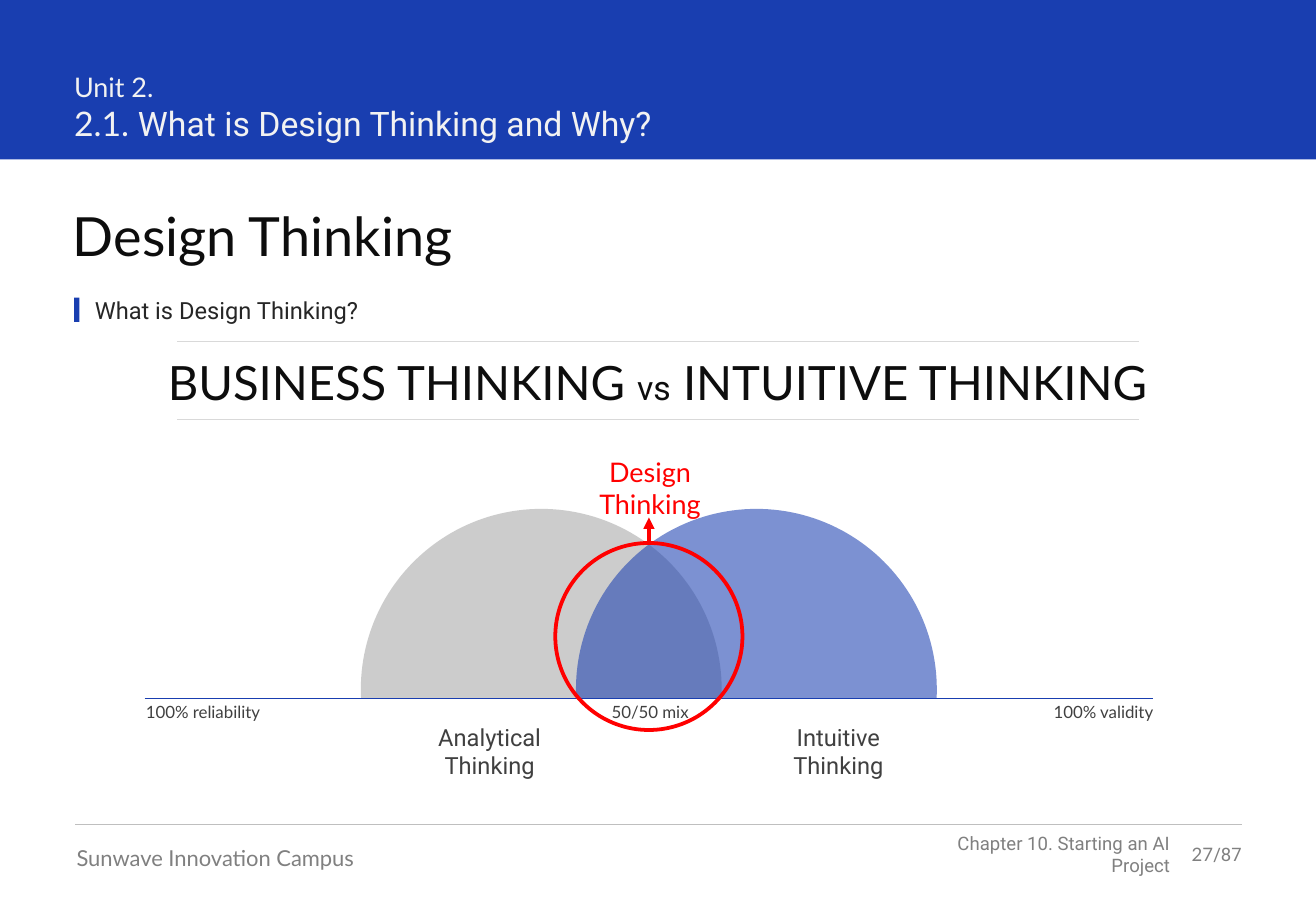
from dataclasses import dataclass

from lxml import etree
from pptx import Presentation
from pptx import util as u
from pptx.dml.color import RGBColor
from pptx.enum import shapes, text
from pptx.oxml import ns


@dataclass(frozen=True)
class Theme:
    blue: str = "193EB0"
    grey: str = "A6A6A6"
    red: str = "FF0000"
    pale: str = "F2F2F2"
    ink: str = "0D0D0D"
    body: str = "262626"
    label: str = "404040"
    footer: str = "808080"
    footer_rule: str = "BFBFBF"
    rule: str = "D9D9D9"
    head_font: str = "Lato"
    body_font: str = "Roboto"
    display: int = 32
    headline: int = 28
    title: int = 20
    callout: int = 16
    text: int = 14
    brand: int = 13
    small: int = 11
    tiny: int = 10
    thin: float = 0.5
    thick: float = 2.25


def rgb(value):
    return RGBColor.from_string(value)


def add_xml(parent, tag, **attrs):
    return etree.SubElement(parent, ns.qn(tag), attrs)


def write(sp, paragraphs, size, color, font, align="LEFT", anchor="TOP", after=0):
    """Fill a shape with paragraphs, each a list of (text, size, font) runs or a string."""
    tf = sp.text_frame
    tf.word_wrap = True
    tf.auto_size = text.MSO_AUTO_SIZE.NONE
    tf.vertical_anchor = text.MSO_ANCHOR[anchor]
    tf.margin_left = tf.margin_right = tf.margin_top = tf.margin_bottom = 0
    for i, runs in enumerate(paragraphs):
        p = tf.add_paragraph() if i else tf.paragraphs[0]
        p.alignment = text.PP_ALIGN[align]
        p.space_before, p.space_after = u.Pt(0), u.Pt(after)
        for words, run_size, run_font in [(runs, size, font)] if isinstance(runs, str) else runs:
            r = p.add_run()
            r.text = words
            r.font.size, r.font.name = u.Pt(run_size), run_font
            r.font.color.rgb = rgb(color)


class Deck:
    """One slide on a grid of 100 columns by 100 rows."""

    def __init__(self, theme):
        self.theme = theme
        self.prs = Presentation()
        self.prs.slide_width, self.prs.slide_height = u.Inches(10.83), u.Inches(7.5)
        self.s = self.prs.slides.add_slide(self.prs.slide_layouts[1])

    def x(self, columns):
        return round(self.prs.slide_width * columns / 100)

    def y(self, rows):
        return round(self.prs.slide_height * rows / 100)

    def box(self, left, top, width, height):
        return self.x(left), self.y(top), self.x(width), self.y(height)

    def text(self, at, paragraphs, **style):
        write(self.s.shapes.add_textbox(*self.box(*at)), paragraphs, **style)

    def placeholder(self, idx, at, paragraphs, **style):
        """Move a template placeholder to the front and fill it, without bullets."""
        sp = self.s.placeholders[idx]
        sp.left, sp.top, sp.width, sp.height = self.box(*at)
        sp.element.getparent().append(sp.element)
        write(sp, paragraphs, **style)
        for p in sp.text_frame.paragraphs:
            pPr = p._p.get_or_add_pPr()
            pPr.set("marL", "0")
            pPr.set("indent", "0")
            add_xml(pPr, "a:buNone")

    def shape(self, kind, at, fill=None, line=None, alpha=None, adjust=()):
        sp = self.s.shapes.add_shape(shapes.MSO_SHAPE[kind], *self.box(*at))
        sp.shadow.inherit = False
        for i, value in enumerate(adjust):
            sp.adjustments[i] = value
        if fill:
            sp.fill.solid()
            sp.fill.fore_color.rgb = rgb(fill)
        else:
            sp.fill.background()
        if alpha:
            clr = sp.element.spPr.find(".//" + ns.qn("a:srgbClr"))
            add_xml(clr, "a:alpha", val=str(alpha * 1000))
        if line:
            sp.line.color.rgb, sp.line.width = rgb(line), u.Pt(self.theme.thick)
        else:
            sp.line.fill.background()
        return sp

    def line(self, x1, y1, x2, y2, color, width, arrow=False, begin=None):
        c = self.s.shapes.add_connector(
            shapes.MSO_CONNECTOR.STRAIGHT, self.x(x1), self.y(y1), self.x(x2), self.y(y2))
        if begin:
            c.begin_connect(*begin)
        c.line.color.rgb, c.line.width = rgb(color), u.Pt(width)
        if arrow:
            add_xml(c.line._get_or_add_ln(), "a:tailEnd", type="triangle")
        add_xml(c._element.spPr, "a:effectLst")


def header_and_footer(d, t):
    d.shape("RECTANGLE", (0, 0, 100, 17.5), fill=t.blue)
    d.placeholder(0, (5.63, 7.73, 58.82, 8.13), [
        "Unit 2.",
        [("2.1. ", t.title, t.head_font),
         ("What is Design Thinking and Why?", t.title, t.body_font)],
    ], size=t.callout, color=t.pale, font=t.head_font)
    d.line(5.72, 90.53, 94.37, 90.53, t.footer_rule, t.thin)
    d.text((5.82, 92.67, 29.18, 2.93), ["Sunwave Innovation Campus"],
           size=t.brand, color=t.footer, font=t.head_font)
    small = dict(size=t.small, color=t.footer, font=t.body_font, align="RIGHT", anchor="MIDDLE")
    d.text((68.05, 92.53, 20.87, 2.53), ["Chapter 10. Starting an AI Project"], **small)
    d.text((88.92, 92.53, 5.45, 2.53),
           [[("27", t.small, t.head_font), ("/87", t.small, t.body_font)]], **small)


def headings(d, t):
    d.text((5.54, 22.27, 88.83, 7.2), ["Design Thinking"],
           size=t.display, color=t.ink, font=t.head_font)
    d.shape("RECTANGLE", (5.63, 32.67, 0.4, 2.67), fill=t.blue)
    d.placeholder(1, (7.2, 32.53, 87.17, 3.2), ["What is Design Thinking?"],
                  size=t.text, color=t.body, font=t.body_font, after=6)
    d.text((8.13, 38.8, 83.66, 6.27), [[
        ("BUSINESS THINKING ", t.headline, t.head_font),
        ("vs", t.title, t.body_font),
        (" INTUITIVE THINKING", t.headline, t.head_font),
    ]], size=t.headline, color=t.ink, font=t.head_font, align="CENTER")
    for row in (37.47, 46):
        d.line(13.48, row, 86.52, row, t.rule, t.thin)


def thinking_diagram(d, t):
    for left, color in ((27.42, t.grey), (43.77, t.blue)):
        d.shape("CHORD", (left, 55.87, 27.42, 39.6), fill=color, alpha=57,
                adjust=(106.25, 1.7))
    d.text((11.17, 50, 76.45, 7.2), ["Design", "Thinking"],
           size=t.callout, color=t.red, font=t.head_font, align="CENTER")
    d.line(10.99, 76.67, 87.63, 76.67, t.blue, t.thin)
    mix = d.shape("OVAL", (42.2, 59.6, 14.22, 20.53), line=t.red)
    d.line(49.31, 59.6, 49.31, 56.8, t.red, t.thick, arrow=True, begin=(mix, 0))
    for left, width, words, align in ((11.08, 10.62, "100% reliability", "LEFT"),
                                      (44.97, 8.86, "50/50 mix", "CENTER"),
                                      (80.06, 8.86, "100% validity", "LEFT")):
        d.text((left, 77.07, width, 2.27), [words],
               size=t.tiny, color=t.label, font=t.head_font, align=align)
    for left, kind in ((32.78, "Analytical"), (59.28, "Intuitive")):
        d.text((left, 79.33, 8.86, 6.27), [kind, "Thinking"],
               size=t.text, color=t.label, font=t.body_font, align="CENTER")


def main():
    theme = Theme()
    deck = Deck(theme)
    for section in (header_and_footer, headings, thinking_diagram):
        section(deck, theme)
    deck.prs.save("out.pptx")


if __name__ == "__main__":
    main()
